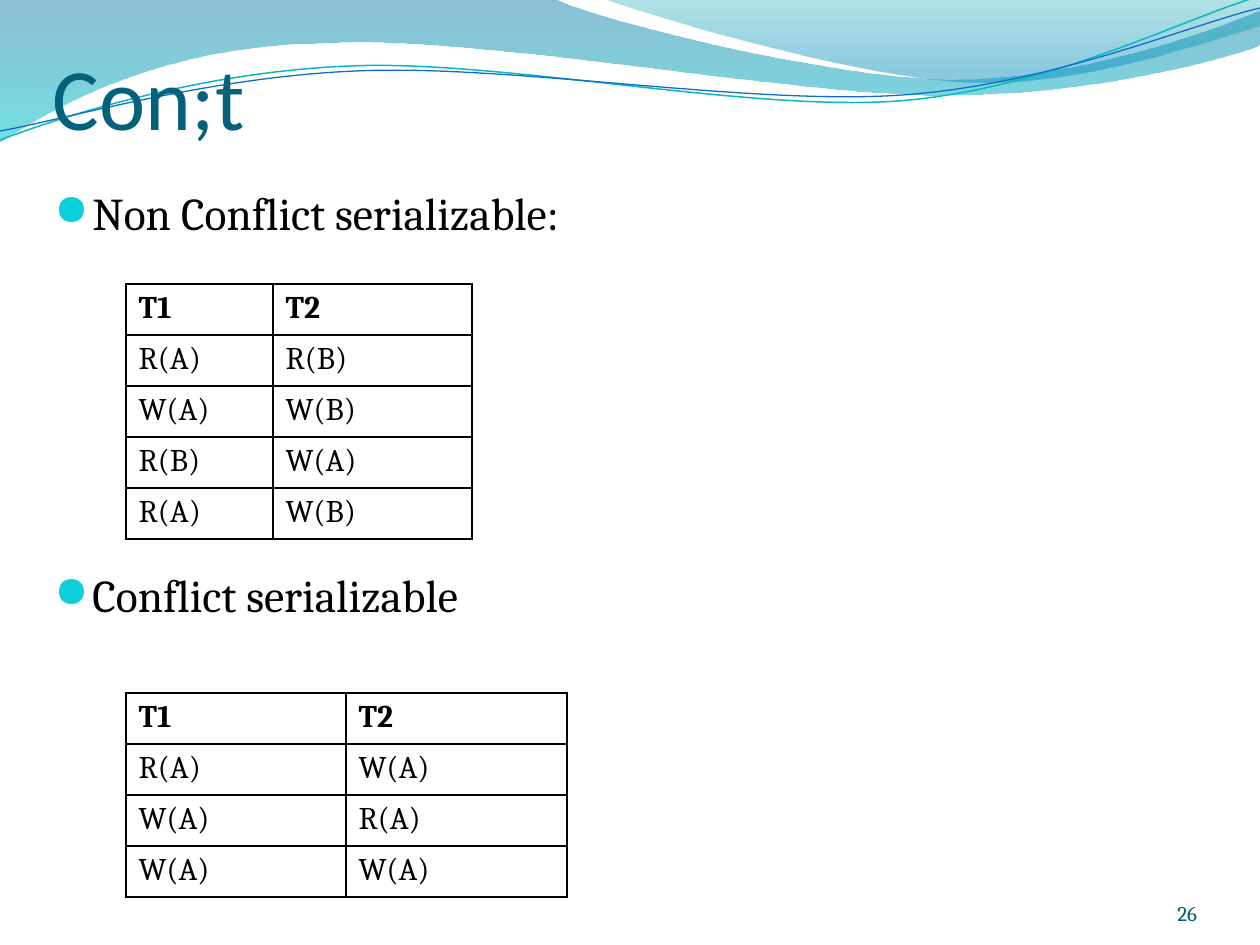
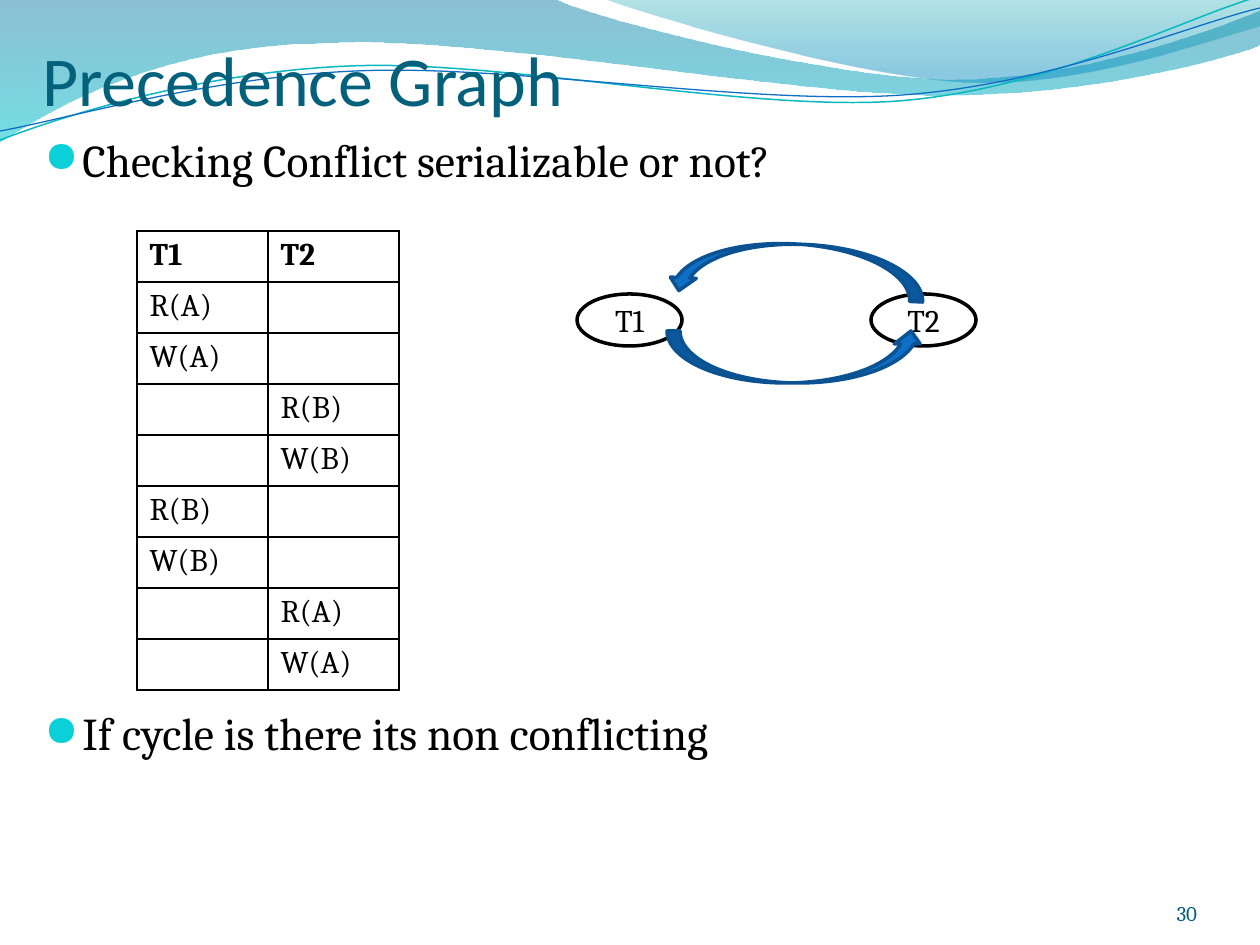
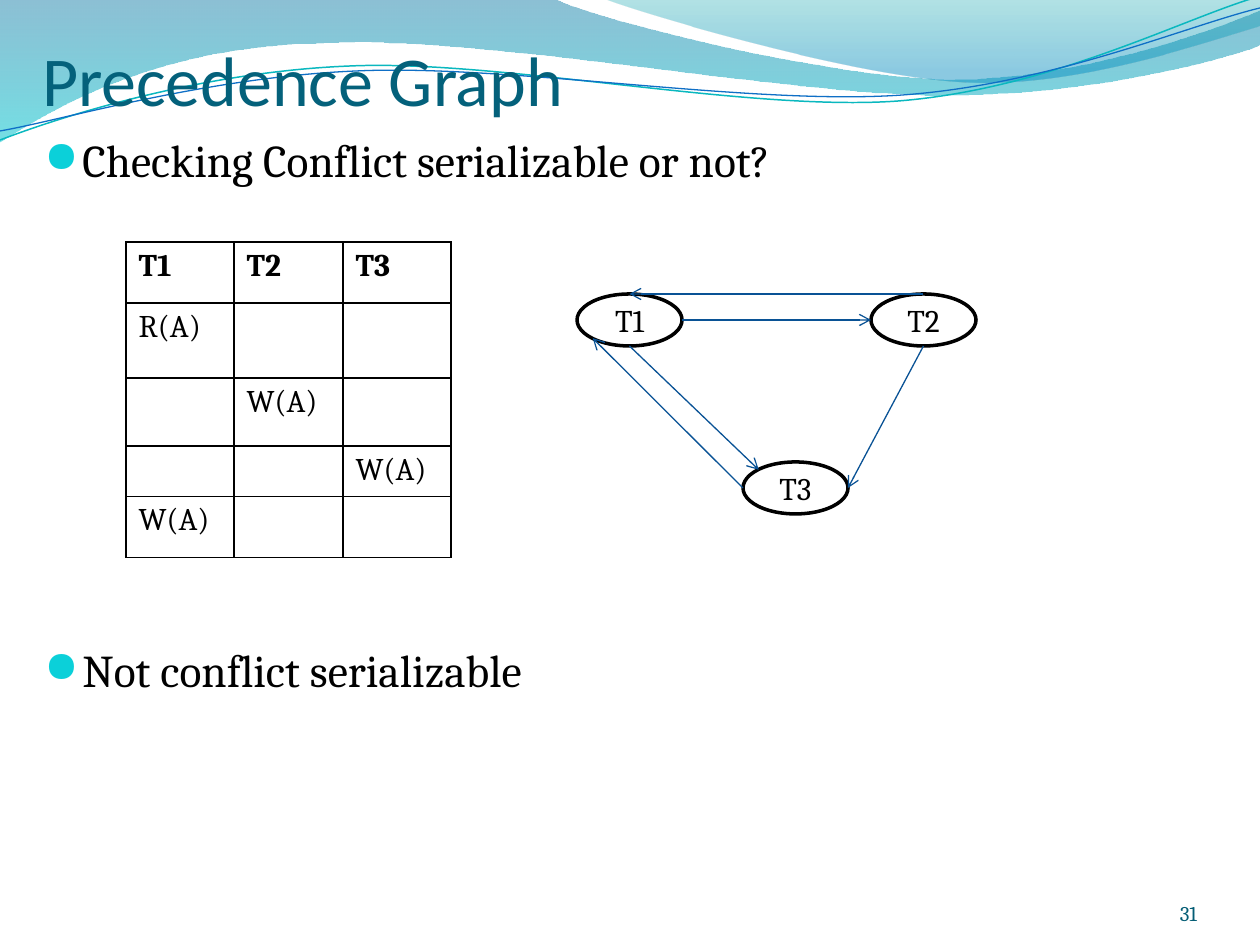
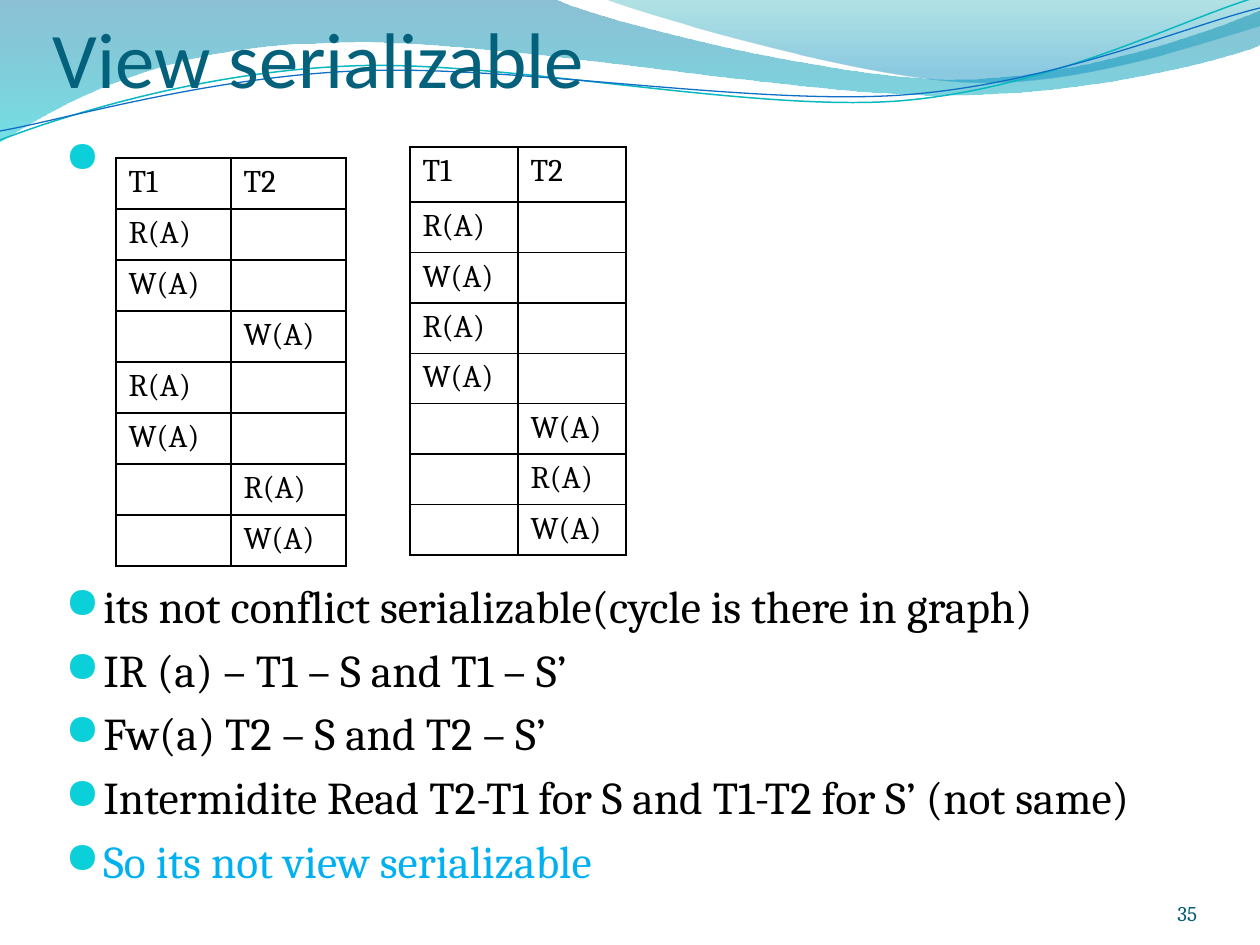
import lxml.etree
import pptx
import pptx.dml.color
import pptx.enum.shapes
import pptx.enum.text
import pptx.oxml.ns
import pptx.util

PX = 914400 / 126  # EMU in one px
COLORS = {
    "title": "04617B", "text": "000000", "number": "045D75", "bullet": "0BD0D9",
    "accent": "00B0F0", "node": "FFFFFF", "border": "000000", "edge": "095295",
    "arrow": "0F6FC6", "arrow_line": "0B5292",
    "band_top": "0074A1", "band_bottom": "00C6CF",
    "crest_top": "00A1A9", "crest_bottom": "008BBF",
    "teal_line": "0AB8BF", "blue_line": "0F6FC6",
}
HEADING, BODY, SYMBOL = "Calibri", "Cambria", "OpenSymbol"
LINE_STEP, BULLET_GAP = 36.4, 5.2  # points
NUMBER_BOX = (1092, 876, 105, 50)
ROW = 51

# Each step is one point (straight) or three (Bezier curve)
BAND = [[(0, 0)], [(554, -1)],
        [(600, 21), (837, 79), (955, 79)], [(1075, 79), (1207, 33), (1260, 11)],
        [(1261, 45)],
        [(1239, 55), (1096, 96), (940, 95)], [(784, 95), (481, 35), (324, 43)],
        [(163, 45), (58, 105), (-1, 142)]]
CREST = [[(604, -1)], [(641, 14), (859, 78), (969, 82)],
         [(1079, 87), (1211, 40), (1260, 26)], [(1260, 0)]]
TEAL_LINE = [[(0, 140)], [(60, 117), (199, 72), (349, 66)],
             [(498, 59), (747, 112), (898, 101)], [(1050, 89), (1182, 19), (1257, -3)]]
BLUE_LINE = [[(0, 131)], [(59, 121), (207, 77), (357, 71)],
             [(508, 64), (752, 106), (903, 95)], [(1053, 84), (1186, 26), (1260, 8)]]

# Connection sites of an ellipse: index, share of width, share of height
SITES = {
    "top": (0, 0.5, 0), "top left": (1, 0.15, 0.15), "left": (2, 0, 0.5),
    "bottom left": (3, 0.15, 0.85), "bottom": (4, 0.5, 1), "right": (6, 1, 0.5),
}


def emu(*lengths):
    return [round(length * PX) for length in lengths]


def rgb(name):
    return pptx.dml.color.RGBColor.from_string(COLORS[name])


def qn(tag):
    return pptx.oxml.ns.qn(tag)


def add_xml(parent, tag, **attributes):
    return lxml.etree.SubElement(parent, qn(tag), **attributes)


def write(para, text, size=18, font=BODY, color="text", bold=False, align="LEFT"):
    para.alignment = getattr(pptx.enum.text.PP_ALIGN, align)
    span = para.add_run()
    span.text = text
    span.font.size = pptx.util.Pt(size)
    span.font.name = font
    span.font.bold = bold
    span.font.color.rgb = rgb(color)


def paint(shape, line, width, fill=None):
    shape.shadow.inherit = False
    if fill:
        shape.fill.solid()
        shape.fill.fore_color.rgb = rgb(fill)
    else:
        shape.fill.background()
    shape.line.color.rgb = rgb(line)
    shape.line.width = pptx.util.Pt(width)


# Shared wave at the top
def add_outline(page, steps, closed):
    """Build a freeform through all points, then bend its three-point steps."""
    points = [emu(*point) for step in steps for point in step]
    builder = page.shapes.build_freeform(*points[0], scale=1.0)
    builder.add_line_segments(points[1:], close=closed)
    shape = builder.convert_to_shape()
    segments = iter(list(shape.element.iter(qn("a:lnTo"))))
    for step in steps[1:]:
        first, *others = [next(segments) for _ in step]
        if others:
            first.addprevious(lxml.etree.Element(qn("a:cubicBezTo")))
            curve = first.getprevious()
            for segment in (first, *others):
                curve.append(segment[0])
                segment.getparent().remove(segment)
    return shape


def add_gradient_wave(page, steps, stops):
    shape = add_outline(page, steps, True)
    shape.shadow.inherit = False
    shape.line.fill.background()
    shape.fill.gradient()
    shape.fill.gradient_angle = 270
    for stop, (position, color, _) in zip(shape.fill.gradient_stops, stops):
        stop.position = position
        stop.color.rgb = rgb(color)
    for node, (_, _, opacity) in zip(shape.element.iter(qn("a:srgbClr")), stops):
        add_xml(node, "a:alpha", val=str(opacity * 1000))
    return shape


def add_line_wave(page, steps, color, width):
    shape = add_outline(page, steps, False)
    paint(shape, color, width)
    return shape


def decorate_layout(layout, page):
    """Draw the waves on a page, then move them to its layout."""
    waves = [
        add_gradient_wave(page, BAND, [(0, "band_top", 45), (1, "band_bottom", 55)]),
        add_gradient_wave(page, CREST, [(0, "crest_top", 30), (0.8, "crest_bottom", 45)]),
        add_line_wave(page, TEAL_LINE, "teal_line", 0.85),
        add_line_wave(page, BLUE_LINE, "blue_line", 0.75),
    ]
    for order, wave in enumerate(waves):
        wave.element.nvSpPr.cNvPr.set("id", str(100 + order))
        layout.shapes.element.insert(2 + order, wave.element)


# Parts of a page
def add_title(page, box, text, size):
    title = page.shapes.title
    title.left, title.top, title.width, title.height = emu(*box)
    frame = title.text_frame
    frame.auto_size = pptx.enum.text.MSO_AUTO_SIZE.NONE
    frame.vertical_anchor = pptx.enum.text.MSO_ANCHOR.BOTTOM
    frame.margin_left = frame.margin_right = frame.margin_bottom = 0
    frame.margin_top = pptx.util.Inches(0.05)
    write(frame.paragraphs[0], text, size=size, font=HEADING, color="title")


def add_number(page, box, number):
    frame = page.shapes.add_textbox(*emu(*box)).text_frame
    frame.word_wrap = True
    frame.vertical_anchor = pptx.enum.text.MSO_ANCHOR.BOTTOM
    frame.margin_left = frame.margin_right = frame.margin_top = frame.margin_bottom = 0
    write(frame.paragraphs[0], str(number), size=12, color="number", align="RIGHT")


def add_bullets(page, box, items):
    """Each item is text, lines left free above it, and optionally a colour."""
    frame = page.shapes.add_textbox(*emu(*box)).text_frame
    frame.word_wrap = True
    for order, (text, free_lines, *color) in enumerate(items):
        para = frame.add_paragraph() if order else frame.paragraphs[0]
        write(para, text, size=26, color=color[0] if color else "text")
        para.space_before = pptx.util.Pt(BULLET_GAP + free_lines * LINE_STEP)
        style = para._p.get_or_add_pPr()
        indent = emu(38)[0]
        style.set("marL", str(indent))
        style.set("indent", str(-indent))
        add_xml(add_xml(style, "a:buClr"), "a:srgbClr", val=COLORS["bullet"])
        add_xml(style, "a:buSzPct", val="95000")
        add_xml(style, "a:buFont", typeface=SYMBOL)
        add_xml(style, "a:buChar", char="●")


def add_border(cell):
    style = cell._tc.get_or_add_tcPr()
    for order, side in enumerate(("a:lnL", "a:lnR", "a:lnT", "a:lnB")):
        line = add_xml(style, side, w=str(pptx.util.Pt(1)))
        add_xml(add_xml(line, "a:solidFill"), "a:srgbClr", val=COLORS["border"])
        style.insert(order, line)


def add_schedule(page, corner, widths, heights, rows, bold_head=True):
    box = (*corner, sum(widths), sum(heights))
    table = page.shapes.add_table(len(rows), len(widths), *emu(*box)).table
    table.first_row = table.horz_banding = False
    for column, width in zip(table.columns, emu(*widths)):
        column.width = width
    for row, height in zip(table.rows, emu(*heights)):
        row.height = height
    for row_index, texts in enumerate(rows):
        for column_index, text in enumerate(texts):
            cell = table.cell(row_index, column_index)
            cell.fill.background()
            add_border(cell)
            para = cell.text_frame.paragraphs[0]
            if text:
                write(para, text, bold=bold_head and row_index == 0)
            else:
                empty = add_xml(para._p, "a:endParaRPr", sz="1800")
                add_xml(empty, "a:latin", typeface=BODY)


# Precedence graphs
def add_nodes(page, corner, offsets):
    nodes = {}
    for name, (left, top) in offsets.items():
        node = page.shapes.add_shape(pptx.enum.shapes.MSO_SHAPE.OVAL,
                                     *emu(corner[0] + left, corner[1] + top, 105, 52))
        paint(node, "border", 2, "node")
        node.text_frame.vertical_anchor = pptx.enum.text.MSO_ANCHOR.MIDDLE
        write(node.text_frame.paragraphs[0], name, align="CENTER")
        nodes[name] = node
    return nodes


def add_edge(page, start, start_site, end, end_site):
    points, links = [], []
    for node, site in ((start, start_site), (end, end_site)):
        index, across, down = SITES[site]
        points += [round(node.left + across * node.width),
                   round(node.top + down * node.height)]
        links.append({"id": str(node.shape_id), "idx": str(index)})
    edge = page.shapes.add_connector(pptx.enum.shapes.MSO_CONNECTOR.STRAIGHT, *points)
    edge.line.color.rgb = rgb("edge")
    edge.line.width = pptx.util.Pt(0.75)
    joints = next(edge.element.iter(qn("p:cNvCxnSpPr")))
    add_xml(joints, "a:stCxn", **links[0])
    add_xml(joints, "a:endCxn", **links[1])
    add_xml(next(edge.element.iter(qn("a:ln"))), "a:tailEnd", type="arrow")
    add_xml(edge.element.spPr, "a:effectLst")


def add_cycle_graph(page, corner):
    add_nodes(page, corner, {"T1": (0, 0), "T2": (294, 0)})
    for top, rotation in ((-50, 182.7), (37, 0)):
        arrow = page.shapes.add_shape(pptx.enum.shapes.MSO_SHAPE.CURVED_UP_ARROW,
                                      *emu(corner[0] + 90, corner[1] + top, 257, 52))
        arrow.rotation = rotation
        paint(arrow, "arrow_line", 2, "arrow")


def add_triangle_graph(page, corner):
    nodes = add_nodes(page, corner, {"T1": (0, 0), "T2": (294, 0), "T3": (166, 168)})
    for start, start_site, end, end_site in (
            ("T1", "right", "T2", "left"),
            ("T1", "bottom", "T3", "top left"),
            ("T2", "bottom", "T3", "right"),
            ("T2", "top", "T1", "top"),
            ("T3", "left", "T1", "bottom left")):
        add_edge(page, nodes[start], start_site, nodes[end], end_site)


# Pages
def fill_conflict_page(page):
    add_title(page, (53, 32, 1134, 116), "Con;t", 50)
    add_bullets(page, (42, 179, 1134, 735),
                [("Non Conflict serializable:", 0), ("Conflict serializable", 5)])
    add_number(page, NUMBER_BOX, 26)
    add_schedule(page, (126, 284), [147, 199], [ROW] * 5,
                 [("T1", "T2"), ("R(A)", "R(B)"), ("W(A)", "W(B)"),
                  ("R(B)", "W(A)"), ("R(A)", "W(B)")])
    add_schedule(page, (126, 693), [220, 221], [ROW] * 4,
                 [("T1", "T2"), ("R(A)", "W(A)"), ("W(A)", "R(A)"), ("W(A)", "W(A)")])


def fill_graph_page(page, number, conclusion, free_lines):
    add_title(page, (42, 5, 1134, 116), "Precedence Graph", 40)
    add_bullets(page, (32, 126, 1187, 735),
                [("Checking Conflict serializable or not?", 0), (conclusion, free_lines)])
    add_number(page, NUMBER_BOX, number)


def fill_cycle_page(page):
    fill_graph_page(page, 30, "If cycle is there its non conflicting", 8)
    add_schedule(page, (137, 231), [131, 131], [ROW] * 9,
                 [("T1", "T2"), ("R(A)", ""), ("W(A)", ""), ("", "R(B)"), ("", "W(B)"),
                  ("R(B)", ""), ("W(B)", ""), ("", "R(A)"), ("", "W(A)")])
    add_cycle_graph(page, (577, 294))


def fill_triangle_page(page):
    fill_graph_page(page, 31, "Not conflict serializable", 7)
    add_schedule(page, (126, 242), [108, 109, 108], [61, 75, 68, 49, 61],
                 [("T1", "T2", "T3"), ("R(A)", "", ""), ("", "W(A)", ""),
                  ("", "", "W(A)"), ("W(A)", "", "")])
    add_triangle_graph(page, (577, 294))


def fill_view_page(page):
    add_title(page, (53, 21, 1134, 83), "View serializable", 45)
    add_bullets(page, (53, 126, 1166, 798), [
        ("\t", 0),
        ("its not conflict serializable(cycle is there in graph)", 6),
        ("IR (a) – T1 – S and T1 – S’", 0),
        ("Fw(a) T2 – S and T2 – S’", 0),
        ("Intermidite Read T2-T1 for S and T1-T2 for S’ (not same)", 0),
        ("So its not view serializable", 0, "accent"),
    ])
    add_number(page, NUMBER_BOX, 35)
    add_schedule(page, (116, 158), [115, 115], [ROW] * 8,
                 [("T1", "T2"), ("R(A)", ""), ("W(A)", ""), ("", "W(A)"),
                  ("R(A)", ""), ("W(A)", ""), ("", "R(A)"), ("", "W(A)")],
                 bold_head=False)
    add_schedule(page, (410, 147), [108, 108], [55] + [47] * 7,
                 [("T1", "T2"), ("R(A)", ""), ("W(A)", ""), ("R(A)", ""),
                  ("W(A)", ""), ("", "W(A)"), ("", "R(A)"), ("", "W(A)")],
                 bold_head=False)


def main():
    deck = pptx.Presentation()
    deck.slide_width, deck.slide_height = emu(1260, 945)
    layout = deck.slide_layouts[5]  # title only
    fillers = (fill_conflict_page, fill_cycle_page, fill_triangle_page, fill_view_page)
    pages = [deck.slides.add_slide(layout) for _ in fillers]
    decorate_layout(layout, pages[0])
    for fill_page, page in zip(fillers, pages):
        fill_page(page)
    deck.save("out.pptx")


if __name__ == "__main__":
    main()
